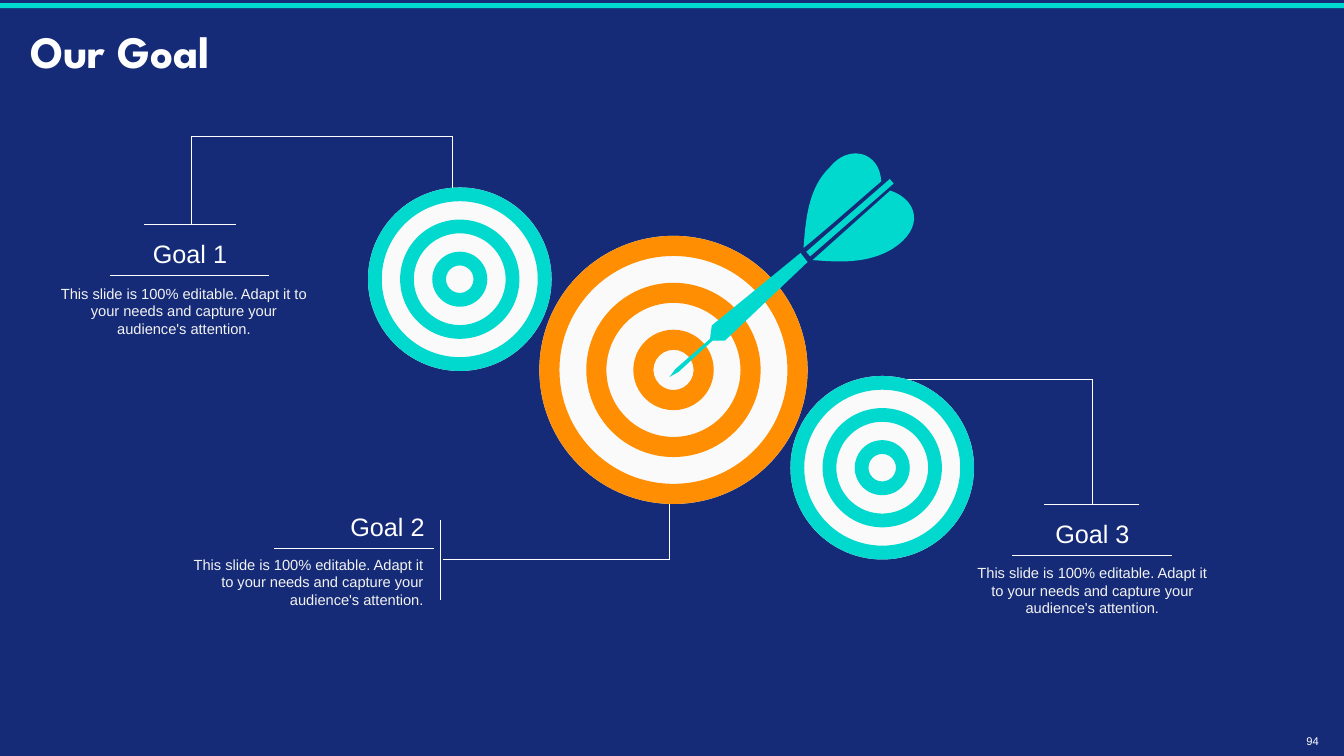
from dataclasses import dataclass

from lxml import etree
from pptx import Presentation
from pptx.dml.color import RGBColor
from pptx.enum.shapes import MSO_CONNECTOR, MSO_SHAPE
from pptx.enum.text import MSO_ANCHOR, MSO_AUTO_SIZE, PP_ALIGN
from pptx.oxml.ns import qn
from pptx.util import Inches, Pt

NAVY, TURQUOISE, ORANGE = "152B77", "01D9CE", "FF8E02"
WHITE, PALE, SOFT = "FFFFFF", "FAFAFA", "F2F2F2"
LEFT, CENTER, RIGHT = PP_ALIGN.LEFT, PP_ALIGN.CENTER, PP_ALIGN.RIGHT
TOP, MIDDLE = MSO_ANCHOR.TOP, MSO_ANCHOR.MIDDLE
RECTANGLE, OVAL, DONUT = MSO_SHAPE.RECTANGLE, MSO_SHAPE.OVAL, MSO_SHAPE.DONUT
STRAIGHT = MSO_CONNECTOR.STRAIGHT
NO_AUTOFIT = MSO_AUTO_SIZE.NONE

RING_SCALES = (1, 0.65, 0.3)
RING_THICKNESS = 0.15
CURVE_STEPS = 16
DESCRIPTION = ("This slide is 100% editable. Adapt it to your needs "
               "and capture your audience's attention.")

Point = tuple[float, float]
Box = tuple[float, float, float, float]


@dataclass
class Target:
    center: Point
    radius: float
    color: str


@dataclass
class Goal:
    heading: str
    heading_at: Point
    description_box: Box
    underline_at: Point
    align: PP_ALIGN


@dataclass
class DartPart:
    start: Point
    segments: list[tuple[Point, ...]]


LEADERS: list[tuple[Point, Point]] = [
    ((1.89, 1.35), (4.49, 1.35)),
    ((1.9, 1.35), (1.9, 2.23)),
    ((1.43, 2.23), (2.34, 2.23)),
    ((4.49, 1.35), (4.49, 2.23)),
    ((4.39, 5.55), (6.65, 5.55)),
    ((4.37, 5.95), (4.37, 5.16)),
    ((6.64, 5.55), (6.64, 5)),
    ((10.83, 5), (10.83, 3.76)),
    ((11.3, 5), (10.35, 5)),
    ((10.83, 3.76), (8.75, 3.76)),
]
MAIN_TARGET = Target((6.68, 3.67), 1.33, ORANGE)
SIDE_TARGETS = [
    Target((8.75, 4.64), 0.91, TURQUOISE),
    Target((4.56, 2.77), 0.91, TURQUOISE),
]
DART_TIP = DartPart((6.64, 3.74), [
    ((6.7, 3.66),), ((7.09, 3.32),), ((7.11, 3.34),), ((6.73, 3.69),)])
UPPER_FLIGHT = DartPart((7.97, 2.46), [
    ((7.99, 2.2), (8.01, 1.87), (8.23, 1.66)),
    ((8.42, 1.42), (8.73, 1.51), (8.74, 1.8)),
    ((8.46, 2.04), (8.25, 2.23), (7.97, 2.46))])
DART_BARREL = DartPart((7.94, 2.51), [
    ((8.01, 2.6),), ((7.19, 3.38),),
    ((7.13, 3.38), (7.1, 3.38), (7.04, 3.38)), ((7.06, 3.23),)])
LOWER_FLIGHT = DartPart((8.06, 2.58), [
    ((8.83, 1.89),),
    ((9.1, 1.98), (9.18, 2.26), (8.85, 2.47)),
    ((8.6, 2.62), (8.31, 2.6), (8.06, 2.58))])
GOALS = [
    Goal("Goal 3", (10.36, 5.09), (9.54, 5.54, 2.59, 0.63), (10.04, 5.51), CENTER),
    Goal("Goal 1", (1.41, 2.32), (0.44, 2.77, 2.77, 0.63), (1.09, 2.73), CENTER),
    Goal("Goal 2", (3.36, 5.02), (1.71, 5.46, 2.59, 0.63), (2.72, 5.44), RIGHT),
]


def rgb(color: str) -> RGBColor:
    return RGBColor.from_string(color)


def paint(shape, color: str) -> None:
    shape.shadow.inherit = False
    shape.fill.solid()
    shape.fill.fore_color.rgb = rgb(color)
    shape.line.fill.background()


def add_filled(slide, preset: MSO_SHAPE, box: Box, color: str):
    shape = slide.shapes.add_shape(preset, *map(Inches, box))
    paint(shape, color)
    return shape


def add_line(slide, start: Point, end: Point) -> None:
    line = slide.shapes.add_connector(STRAIGHT, *map(Inches, start + end))
    line.line.color.rgb = rgb(WHITE)
    line.line.width = Pt(0.5)
    etree.SubElement(line._element.spPr, qn("a:effectLst"))


def write(shape, text: str, size: float, color: str, align: PP_ALIGN,
          anchor: MSO_ANCHOR, wrap: bool = True, font: str = "Arial",
          bold: bool = False) -> None:
    frame = shape.text_frame
    frame.text = text
    frame.auto_size = NO_AUTOFIT
    frame.word_wrap = wrap
    frame.vertical_anchor = anchor
    paragraph = frame.paragraphs[0]
    paragraph.alignment = align
    run_font = paragraph.runs[0].font
    run_font.name = font
    run_font.size = Pt(size)
    run_font.bold = bold
    run_font.color.rgb = rgb(color)


def add_text(slide, box: Box, *style, wrap: bool = True):
    label = slide.shapes.add_textbox(*map(Inches, box))
    write(label, *style, wrap=wrap)
    return label


def circle_box(center: Point, radius: float) -> Box:
    return center[0] - radius, center[1] - radius, 2 * radius, 2 * radius


def add_target(slide, target: Target) -> None:
    add_filled(slide, OVAL, circle_box(target.center, target.radius), PALE)
    for scale in RING_SCALES:
        box = circle_box(target.center, target.radius * scale)
        ring = add_filled(slide, DONUT, box, target.color)
        ring.adjustments[0] = RING_THICKNESS / (2 * scale)


def bezier(points: tuple[Point, ...], t: float) -> Point:
    while len(points) > 1:
        points = tuple((a[0] + (b[0] - a[0]) * t, a[1] + (b[1] - a[1]) * t)
                       for a, b in zip(points, points[1:]))
    return points[0]


def add_dart_part(slide, part: DartPart) -> None:
    outline = [part.start]
    for segment in part.segments:
        steps = CURVE_STEPS if len(segment) > 1 else 1
        controls = (outline[-1], *segment)
        outline += [bezier(controls, i / steps) for i in range(1, steps + 1)]
    vertices = [(Inches(x), Inches(y)) for x, y in outline]
    builder = slide.shapes.build_freeform(*vertices[0])
    builder.add_line_segments(vertices[1:], close=True)
    paint(builder.convert_to_shape(), TURQUOISE)


def add_dart(slide) -> None:
    add_dart_part(slide, DART_TIP)
    shaft = add_filled(slide, RECTANGLE, (8.4, 1.61, 0.06, 1.1), TURQUOISE)
    shaft.rotation = 48.9
    for part in (UPPER_FLIGHT, DART_BARREL, LOWER_FLIGHT):
        add_dart_part(slide, part)


def add_goal(slide, goal: Goal) -> None:
    add_text(slide, goal.description_box, DESCRIPTION, 10.5, SOFT, goal.align, MIDDLE)
    add_text(slide, (*goal.heading_at, 0.95, 0.4), goal.heading, 18, WHITE,
             goal.align, TOP, wrap=False)
    x, y = goal.underline_at
    add_line(slide, (x, y), (x + 1.58, y))


def main() -> None:
    deck = Presentation()
    deck.slide_width, deck.slide_height = Inches(13.33), Inches(7.5)
    slide = deck.slides.add_slide(deck.slide_layouts[5])
    slide.background.fill.solid()
    slide.background.fill.fore_color.rgb = rgb(NAVY)
    add_filled(slide, RECTANGLE, (0, 0.03, 13.33, 0.05), TURQUOISE)

    title = slide.shapes.title
    title.left, title.top, title.width, title.height = map(
        Inches, (0.2, 0.1, 12.93, 0.88))
    write(title, "Our Goal", 32, WHITE, LEFT, MIDDLE, font="League Spartan", bold=True)
    title.text_frame.paragraphs[0].line_spacing = 0.9

    page = add_text(slide, (12.82, 7.28, 0.4, 0.14), "94", 8, WHITE, CENTER, MIDDLE)
    frame = page.text_frame
    frame.margin_left = frame.margin_right = frame.margin_top = frame.margin_bottom = 0

    for start, end in LEADERS:
        add_line(slide, start, end)
    add_target(slide, MAIN_TARGET)
    add_dart(slide)
    for target in SIDE_TARGETS:
        add_target(slide, target)
    for goal in GOALS:
        add_goal(slide, goal)
    deck.save("out.pptx")


if __name__ == "__main__":
    main()
